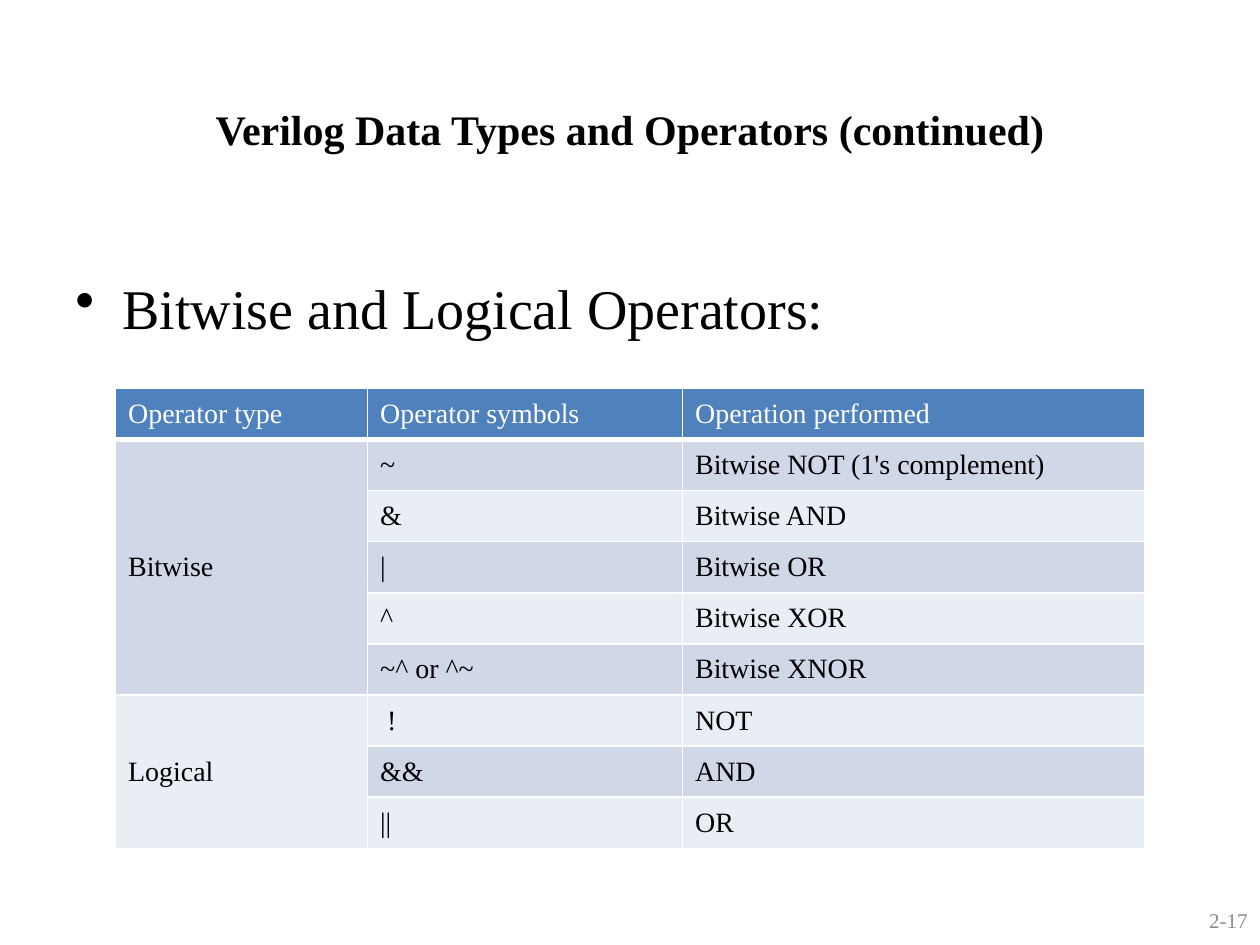
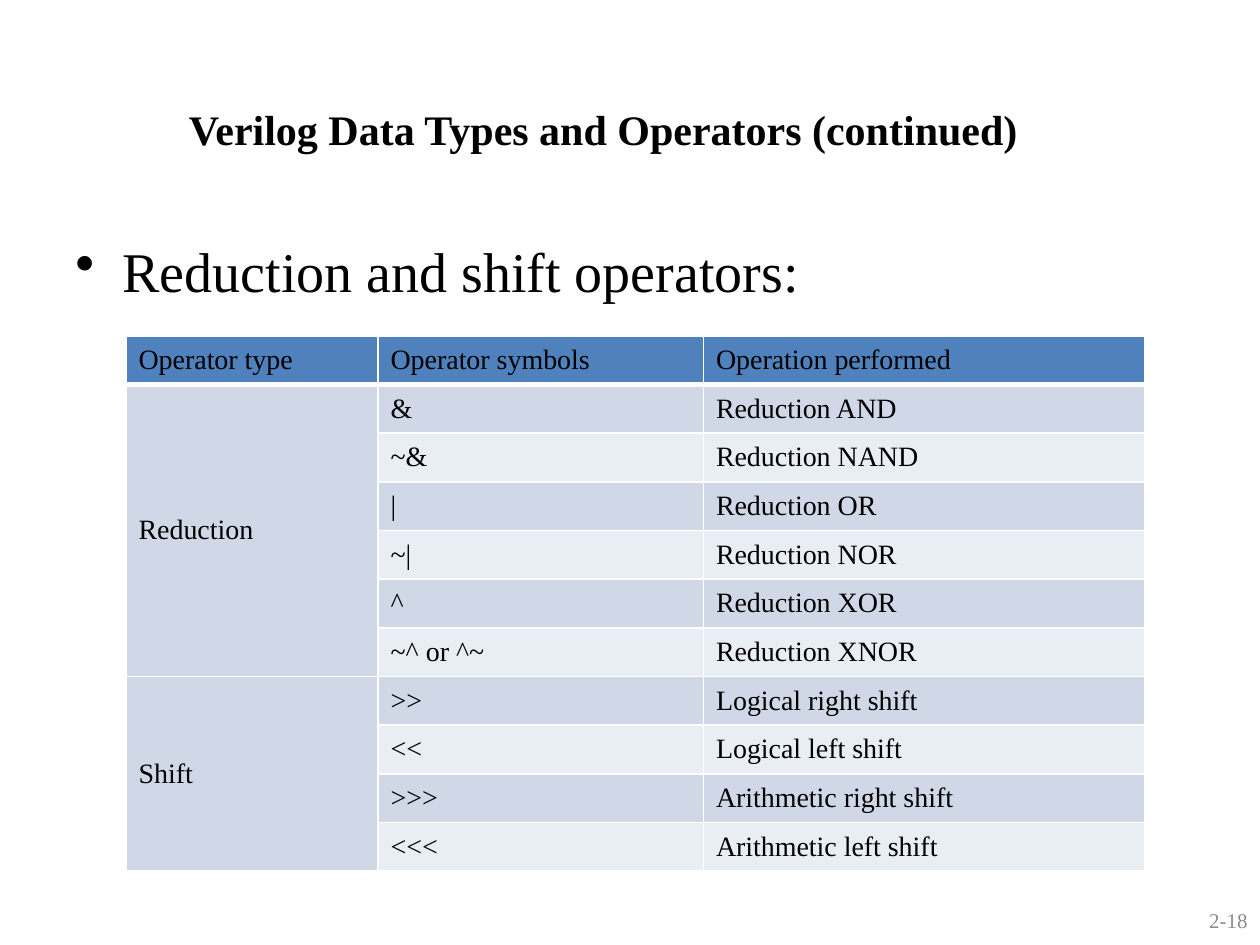
"""Build two slides on Verilog operators, each with a title, a bullet and a table."""
from lxml.etree import SubElement
from pptx import Presentation
from pptx.dml.color import RGBColor
from pptx.enum.text import MSO_ANCHOR as ANCHOR, PP_ALIGN as ALIGN
from pptx.oxml.ns import qn
from pptx.util import Cm, Pt

FONT = "Times New Roman"
BLACK = RGBColor(0x00, 0x00, 0x00)
WHITE = RGBColor(0xFF, 0xFF, 0xFF)
GREY = RGBColor(0x8C, 0x8C, 0x8C)
BLUE = RGBColor(0x4F, 0x81, 0xBD)
BANDS = RGBColor(0xD0, 0xD8, 0xE8), RGBColor(0xE9, 0xED, 0xF4)
TITLE = "Verilog Data Types and Operators (continued)"
HEADER = "Operator type", "Operator symbols", "Operation performed"
LEFT, WIDTH = 1.27, 22.86


class Deck:
    """Hold the shared style and the current slide."""

    def __init__(self):
        self.prs = Presentation()
        self.prs.slide_width, self.prs.slide_height = Cm(25.4), Cm(19.05)
        self.slide = None

    def add_slide(self):
        self.slide = self.prs.slides.add_slide(self.prs.slide_layouts[6])

    def format(self, p, size, color=BLACK, bold=False):
        for r in p.runs:
            r.font.name, r.font.size, r.font.bold = FONT, Pt(size), bold
            r.font.color.rgb = color

    def text(self, box, text, size, color=BLACK, bold=False,
             align=ALIGN.LEFT, anchor=ANCHOR.TOP):
        tf = self.slide.shapes.add_textbox(*map(Cm, box)).text_frame
        tf.word_wrap = True
        tf.vertical_anchor = anchor
        p = tf.paragraphs[0]
        p.text, p.alignment = text, align
        self.format(p, size, color, bold)
        return p

    def title(self, text):
        self.text((LEFT, 1.96, WIDTH, 3.18), text, 24, bold=True, align=ALIGN.CENTER)

    def bullet(self, top, text):
        p = self.text((LEFT, top, WIDTH, 12.19), text, 32)
        p.space_before = Pt(6.4)
        pPr = p._p.get_or_add_pPr()
        pPr.set("marL", str(Cm(0.95)))
        pPr.set("indent", str(-Cm(0.95)))
        SubElement(pPr, qn("a:buChar"), char="•")

    def page_number(self, text):
        self.text((23.29, 18.03, 2.11, 1.02), text, 12, GREY,
                  align=ALIGN.RIGHT, anchor=ANCHOR.MIDDLE)

    def borders(self, cell, bottom):
        tcPr = cell._tc.get_or_add_tcPr()
        for side, width in zip("LRTB", (1, 1, 1, bottom)):
            ln = SubElement(tcPr, qn(f"a:ln{side}"), w=str(Pt(width)))
            fill = SubElement(ln, qn("a:solidFill"))
            SubElement(fill, qn("a:srgbClr"), val=str(WHITE))

    def cell(self, cell, text, fill, color=BLACK, bottom=1):
        self.borders(cell, bottom)
        cell.fill.solid()
        cell.fill.fore_color.rgb = fill
        cell.vertical_anchor = ANCHOR.MIDDLE
        p = cell.text_frame.paragraphs[0]
        p.text = text
        self.format(p, 16, color)

    def table(self, left, top, widths, height, groups, header_color):
        count = 1 + sum(len(rows) for rows in groups.values())
        box = map(Cm, (left, top, sum(widths), height))
        table = self.slide.shapes.add_table(count, len(widths), *box).table
        for column, width in zip(table.columns, widths):
            column.width = Cm(width)
        for row in table.rows:
            row.height = Cm(height / count)
        for j, text in enumerate(HEADER):
            self.cell(table.cell(0, j), text, BLUE, header_color, bottom=3)
        first = 1
        for name, rows in groups.items():
            group_fill = BANDS[(first - 1) % 2]
            for i, (symbol, operation) in enumerate(rows, first):
                fill = BANDS[(i - 1) % 2]
                self.cell(table.cell(i, 0), name if i == first else "", group_fill)
                self.cell(table.cell(i, 1), symbol, fill)
                self.cell(table.cell(i, 2), operation, fill)
            last = first + len(rows) - 1
            table.cell(first, 0).merge(table.cell(last, 0))
            first = last + 1


BITWISE_LOGICAL = {
    "Bitwise": [
        ("~", "Bitwise NOT (1's complement)"),
        ("&", "Bitwise AND"),
        ("|", "Bitwise OR"),
        ("^", "Bitwise XOR"),
        ("~^ or ^~", "Bitwise XNOR"),
    ],
    "Logical": [("\u00a0!", "NOT"), ("&&", "AND"), ("||", "OR")],
}
REDUCTION_SHIFT = {
    "Reduction": [
        ("&", "Reduction AND"),
        ("~&", "Reduction NAND"),
        ("|", "Reduction OR"),
        ("~|", "Reduction NOR"),
        ("^", "Reduction XOR"),
        ("~^ or ^~", "Reduction XNOR"),
    ],
    "Shift": [
        (">>", "Logical right shift"),
        ("<<", "Logical left shift"),
        (">>>", "Arithmetic right shift"),
        ("<<<", "Arithmetic left shift"),
    ],
}

deck = Deck()

deck.add_slide()
deck.title(TITLE)
deck.bullet(5.38, "Bitwise and Logical Operators:")
deck.page_number("2-17")
deck.table(2.33, 7.83, (5.08, 6.35, 9.31), 9.27, BITWISE_LOGICAL, WHITE)

deck.add_slide()
deck.title(TITLE + "\t")
deck.page_number("2-18")
deck.bullet(4.65, "Reduction and shift operators:")
deck.table(2.54, 6.77, (5.08, 6.56, 8.89), 10.8, REDUCTION_SHIFT, BLACK)

deck.prs.save("out.pptx")
